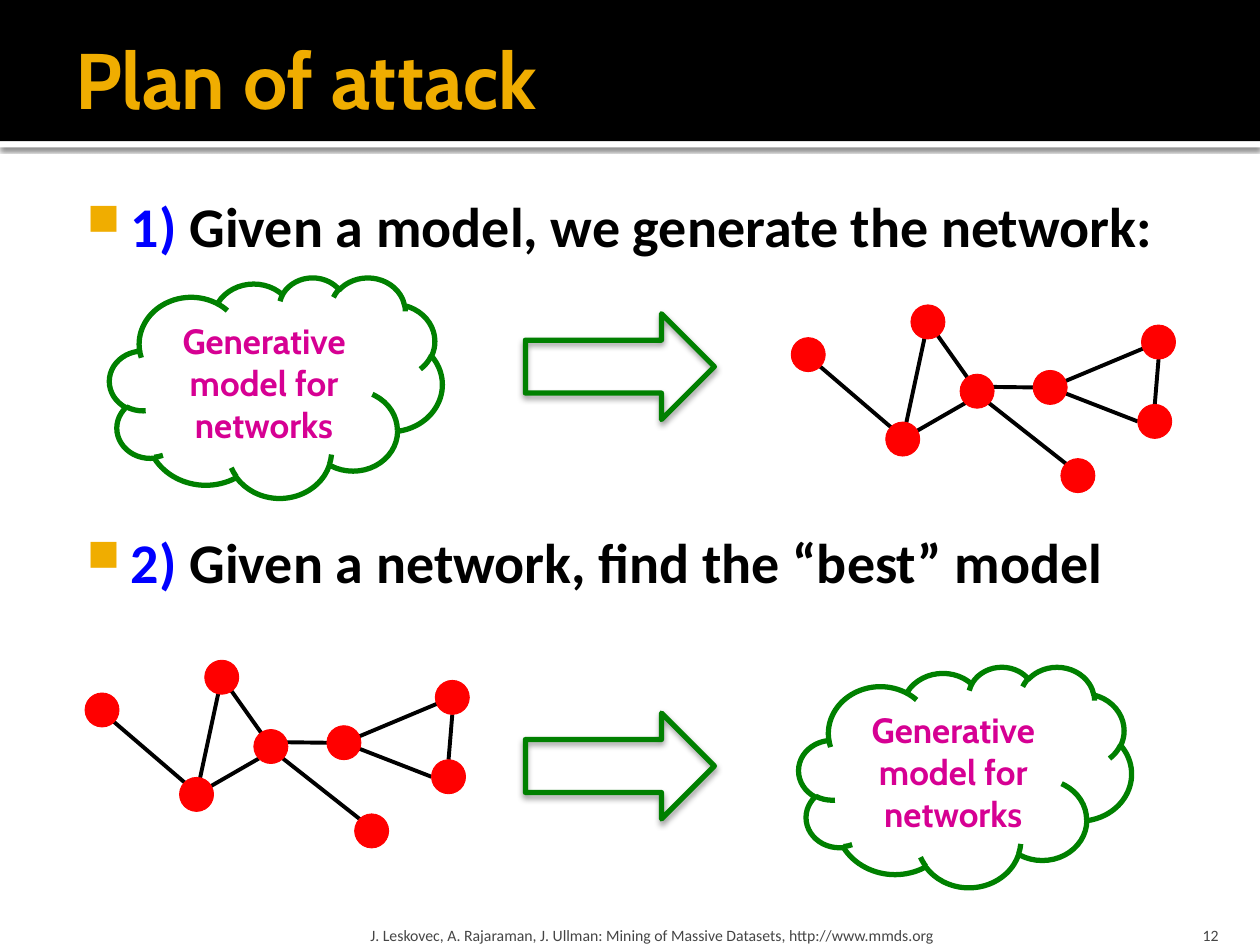
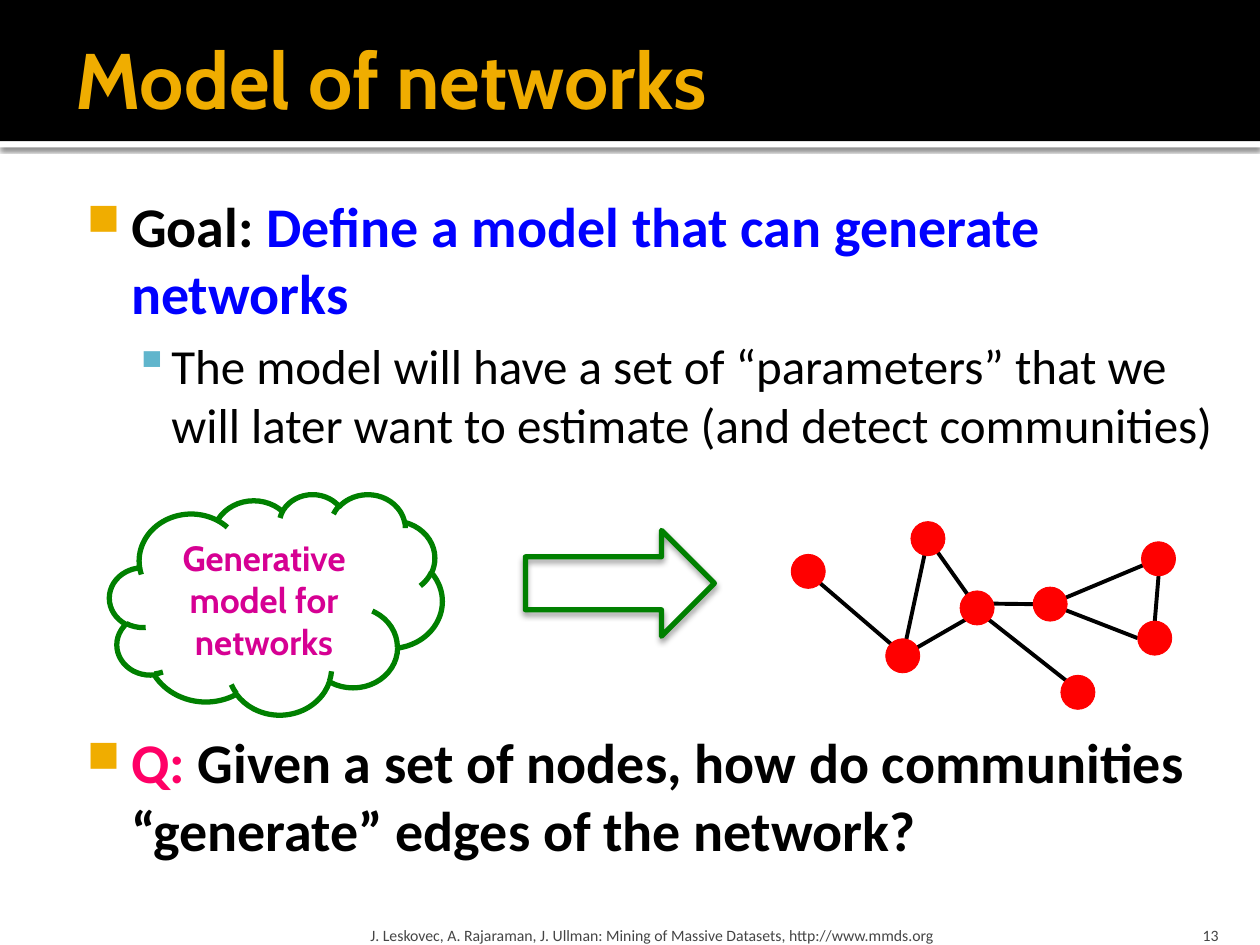
import lxml.etree
import pptx
import pptx.dml.color
import pptx.enum.shapes
import pptx.enum.text
import pptx.oxml.ns
import pptx.util

RGBColor = pptx.dml.color.RGBColor
Shape = pptx.enum.shapes.MSO_SHAPE
Align = pptx.enum.text.PP_ALIGN
Anchor = pptx.enum.text.MSO_ANCHOR
Pt = pptx.util.Pt
Inches = pptx.util.Inches
qn = pptx.oxml.ns.qn

BLACK = RGBColor(0x00, 0x00, 0x00)
WHITE = RGBColor(0xFF, 0xFF, 0xFF)
GOLD = RGBColor(0xF0, 0xAD, 0x00)
TEAL = RGBColor(0x60, 0xB5, 0xCC)
BLUE = RGBColor(0x00, 0x00, 0xFF)
PINK = RGBColor(0xFF, 0x00, 0x66)
MAGENTA = RGBColor(0xD6, 0x00, 0x93)
GREEN = RGBColor(0x00, 0x80, 0x00)
RED = RGBColor(0xFF, 0x00, 0x00)
GREY = RGBColor(0x45, 0x45, 0x45)

CELL = 0.25
COLUMNS, ROWS = 40, 30
HEADING_FONT, BODY_FONT = "Cabin", "Calibri"
CREDIT = "J. Leskovec, A. Rajaraman, J. Ullman: Mining of Massive Datasets, http://www.mmds.org"

NODE_SIZE = 1.08
NODES = {
    "hub": (3, 3.72), "west": (0, 1.04), "north": (3.8, 0), "center": (5.36, 2.2),
    "bridge": (7.68, 2.08), "south": (8.56, 4.88), "northeast": (11.12, 0.64),
    "east": (11, 3.16),
}
SITES = {
    "middle": (0.5, 0.5), "top": (0.5, 0), "bottom": (0.5, 1), "left": (0, 0.5),
    "upper left": (0.15, 0.15), "lower left": (0.15, 0.85),
    "lower right": (0.85, 0.85), "inner right": (0.67, 0.37),
}
EDGES = [
    ("east", "top", "northeast", "bottom"),
    ("west", "lower right", "hub", "upper left"),
    ("hub", "middle", "north", "middle"),
    ("bridge", "middle", "northeast", "middle"),
    ("bridge", "middle", "east", "left"),
    ("center", "inner right", "bridge", "left"),
    ("center", "lower right", "south", "upper left"),
    ("center", "middle", "north", "middle"),
    ("hub", "middle", "center", "lower left"),
]


def cells(*counts):
    return [Inches(count * CELL) for count in counts]


def write_text(para, text, size=32, color=BLACK, bold=False, font=BODY_FONT):
    span = para.add_run()
    span.text = text
    span.font.size = Pt(size)
    span.font.bold = bold
    span.font.name = font
    span.font.color.rgb = color


def add_bullet(para, mark, color, share, margin, hanging):
    properties = para._p.get_or_add_pPr()
    properties.set("marL", str(Inches(margin)))
    properties.set("indent", str(-Inches(hanging)))
    tint = lxml.etree.SubElement(properties, qn("a:buClr"))
    lxml.etree.SubElement(tint, qn("a:srgbClr"), val=str(color))
    lxml.etree.SubElement(properties, qn("a:buSzPct"), val=str(share * 1000))
    lxml.etree.SubElement(properties, qn("a:buChar"), char=mark)


def add_shadow(shape, opacity, blur, distance):
    shape.shadow.inherit = False
    effects = shape._element.spPr.find(qn("a:effectLst"))
    outer = lxml.etree.SubElement(
        effects, qn("a:outerShdw"), blurRad=str(Pt(blur)), dist=str(Pt(distance)),
        dir="5400000", algn="t", rotWithShape="0")
    tint = lxml.etree.SubElement(outer, qn("a:srgbClr"), val=str(BLACK))
    lxml.etree.SubElement(tint, qn("a:alpha"), val=str(opacity * 1000))


class SlideBuilder:
    def __init__(self):
        self.deck = pptx.Presentation()
        self.deck.slide_width, self.deck.slide_height = cells(COLUMNS, ROWS)
        self.page = None

    def start(self, title, number):
        self.page = self.deck.slides.add_slide(self.deck.slide_layouts[6])
        strip = self.shape(Shape.RECTANGLE, (0, 4.48, COLUMNS, 0.2), fill=WHITE)
        add_shadow(strip, 60, 2.5, 0.8)
        self.shape(Shape.RECTANGLE, (0, 0, COLUMNS, 4.48), fill=BLACK)
        frame = self.text_box((2, 0.32, 36, 4.32), (0.1, 0.05, 0.05, 0.05), Anchor.MIDDLE)
        write_text(frame.paragraphs[0], title, size=45, color=GOLD, bold=True, font=HEADING_FONT)
        self.footer(CREDIT, (11.56, 28.8, 24.08, 1.2), 0.05, Align.LEFT)
        self.footer(str(number), (35.88, 28.8, 3.2, 1.2), 0.1, Align.RIGHT)

    def shape(self, kind, place, fill=None, line=None, weight=3, parent=None):
        shape = (parent or self.page).shapes.add_shape(kind, *cells(*place))
        shape.shadow.inherit = False
        if fill is None:
            shape.fill.background()
        else:
            shape.fill.solid()
            shape.fill.fore_color.rgb = fill
        if line is None:
            shape.line.fill.background()
        else:
            shape.line.color.rgb = line
            shape.line.width = Pt(weight)
        return shape

    def text_box(self, place, insets, anchor):
        frame = self.page.shapes.add_textbox(*cells(*place)).text_frame
        frame.word_wrap = True
        frame.vertical_anchor = anchor
        (frame.margin_left, frame.margin_top,
         frame.margin_right, frame.margin_bottom) = [Inches(inset) for inset in insets]
        return frame

    def footer(self, text, place, inset, align):
        para = self.text_box(place, (inset, 0.05, inset, 0), Anchor.BOTTOM).paragraphs[0]
        para.alignment = align
        write_text(para, text, size=9, color=GREY)

    def body(self, width):
        return self.text_box((2, 5.68, width, 23), (0.06, 0.1, 0.1, 0.05), Anchor.TOP)

    def point(self, para, lead, lead_color, rest, rest_color=BLACK, gap=0):
        add_bullet(para, "■", GOLD, 80, 0.48, 0.35)
        if gap:
            para.space_before = Pt(gap)
        write_text(para, lead, color=lead_color, bold=True)
        write_text(para, rest, color=rest_color, bold=True)

    def subpoint(self, para, text):
        add_bullet(para, "▪", TEAL, 100, 0.8, 0.3)
        para.space_before = Pt(5.6)
        write_text(para, text, size=28)

    def arrow(self, row):
        arrow = self.shape(Shape.RIGHT_ARROW, (16.68, row, 6, 3.36), line=GREEN)
        add_shadow(arrow, 38, 3.5, 2)

    def cloud(self, column, row):
        cloud = self.shape(Shape.CLOUD, (column, row, 10.56, 7), line=GREEN)
        frame = cloud.text_frame
        frame.word_wrap = True
        frame.vertical_anchor = Anchor.MIDDLE
        para = frame.paragraphs[0]
        para.alignment = Align.CENTER
        write_text(para, "Generative model for networks", size=20, color=MAGENTA,
                   bold=True, font=HEADING_FONT)

    def network(self, column, row):
        group = self.page.shapes.add_group_shape()

        def site(node, name):
            return [origin + offset + share * NODE_SIZE for origin, offset, share
                    in zip((column, row), NODES[node], SITES[name])]

        for start, start_site, end, end_site in EDGES:
            edge = group.shapes.add_connector(
                pptx.enum.shapes.MSO_CONNECTOR.STRAIGHT,
                *cells(*site(start, start_site), *site(end, end_site)))
            edge.line.color.rgb = BLACK
            edge.line.width = Pt(2.25)
            lxml.etree.SubElement(edge._element.spPr, qn("a:effectLst"))
        for across, down in NODES.values():
            self.shape(Shape.OVAL, (column + across, row + down, NODE_SIZE, NODE_SIZE),
                       fill=RED, line=RED, weight=0.5, parent=group)


def build_plan(builder):
    builder.start("Plan of attack", 12)
    frame = builder.body(36)
    builder.point(frame.paragraphs[0], "1) ", BLUE, "Given a model, we generate the network:")
    builder.point(frame.add_paragraph(), "2) ", BLUE,
                  "Given a network, find the “best” model", gap=153.6)
    builder.arrow(9.96)
    builder.network(25.12, 9.68)
    builder.network(2.7, 20.96)
    builder.arrow(22.64)
    builder.cloud(3.48, 8.8)
    builder.cloud(25.36, 21.16)


def build_model(builder):
    builder.start("Model of networks", 13)
    frame = builder.body(37.68)
    builder.point(frame.paragraphs[0], "Goal: ", BLACK,
                  "Define a model that can generate networks", BLUE)
    builder.subpoint(frame.add_paragraph(),
                     "The model will have a set of “parameters” that we will later "
                     "want to estimate (and detect communities)")
    builder.point(frame.add_paragraph(), "Q: ", PINK,
                  "Given a set of nodes, how do communities “generate” edges of the network?",
                  gap=156.8)
    builder.arrow(16.84)
    builder.network(25.12, 16.56)
    builder.cloud(3.48, 15.68)


def main():
    builder = SlideBuilder()
    build_plan(builder)
    build_model(builder)
    builder.deck.save("out.pptx")


if __name__ == "__main__":
    main()
